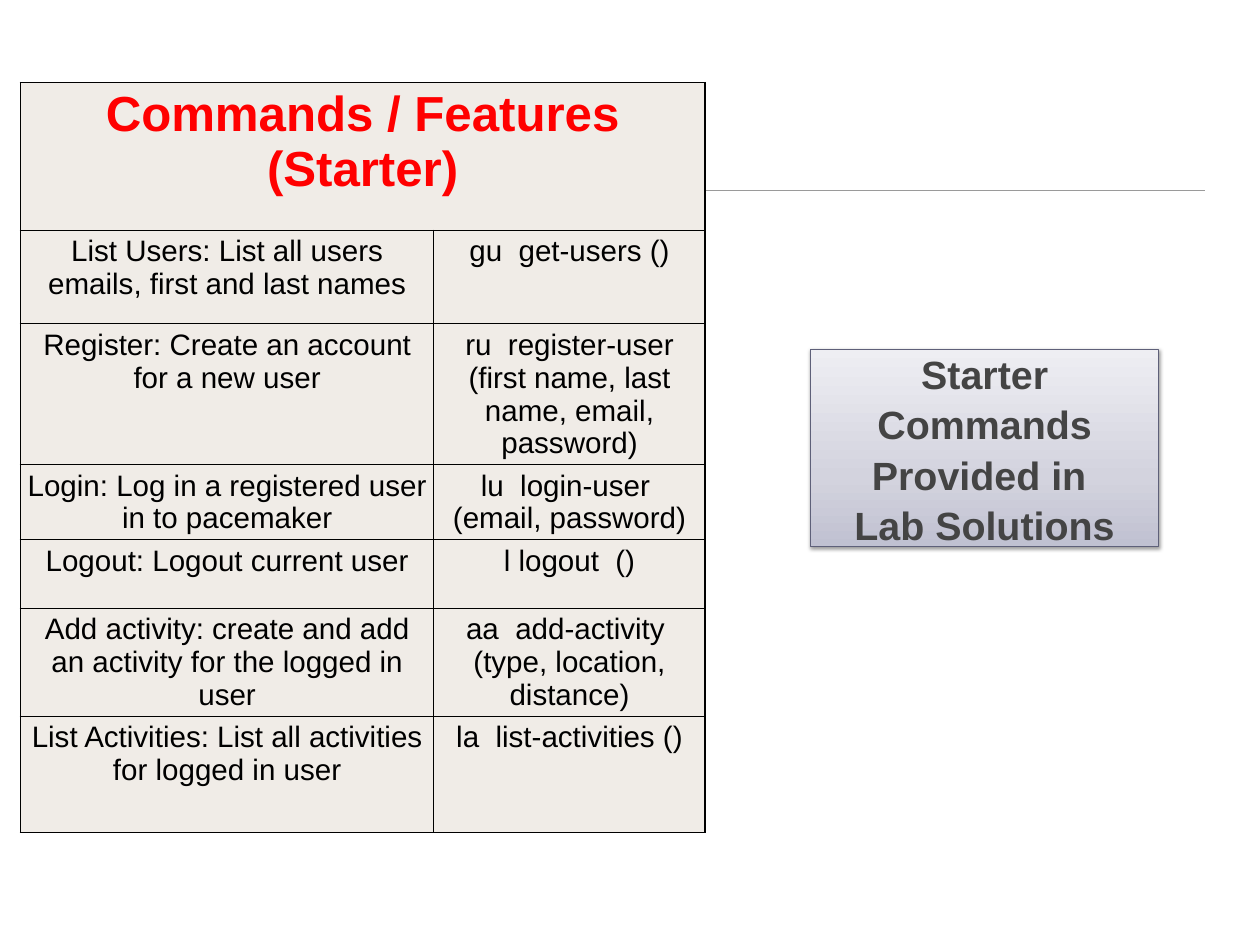
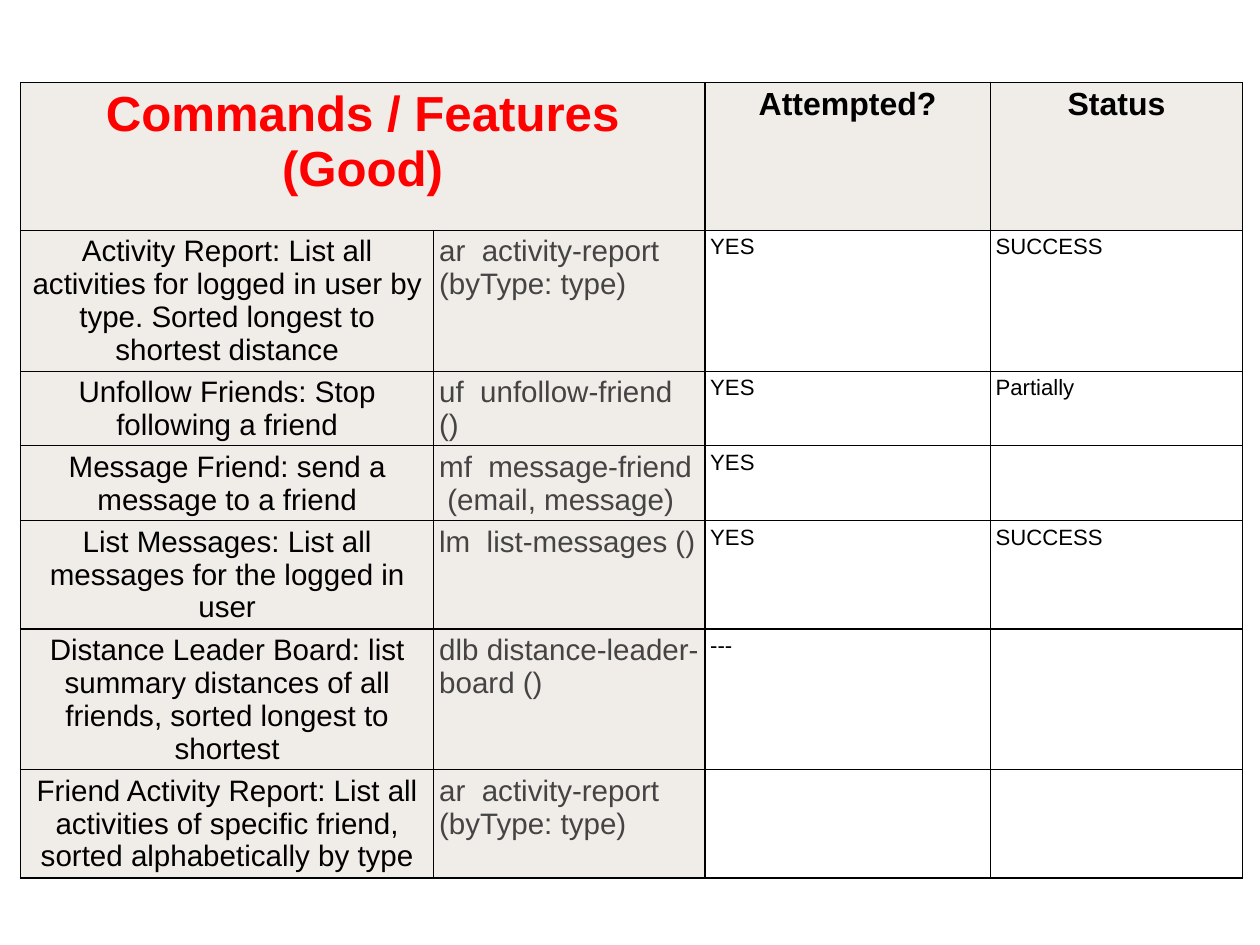
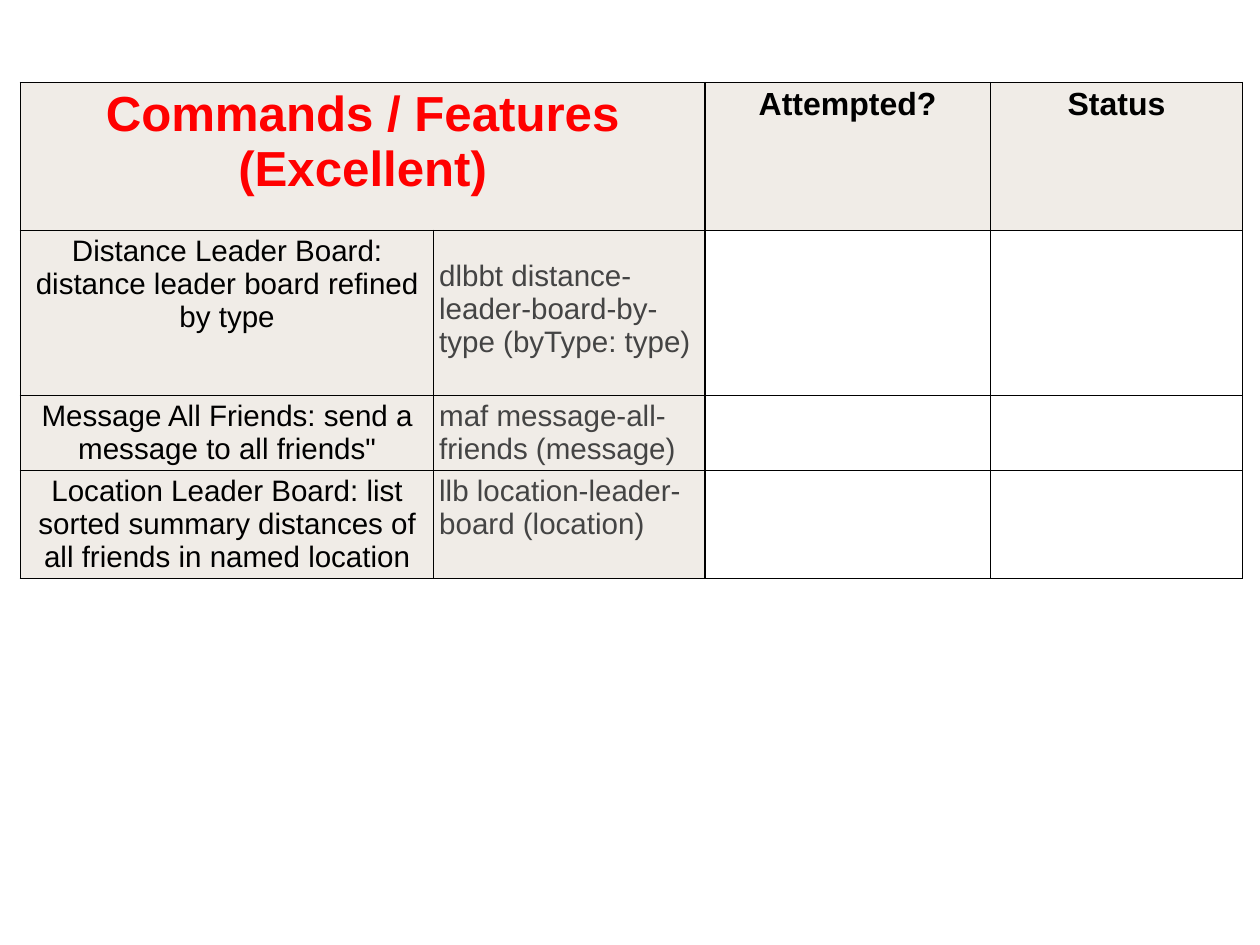
import dataclasses

import pptx
import pptx.dml.color
import pptx.enum.shapes
import pptx.enum.text
import pptx.oxml
import pptx.oxml.ns
import pptx.util

Cm = pptx.util.Cm
Pt = pptx.util.Pt
ALIGN = pptx.enum.text.PP_ALIGN


@dataclasses.dataclass(frozen=True)
class Theme:
    font: str = "Arial"
    red: str = "FF0000"
    black: str = "000000"
    grey: str = "444444"
    rule: str = "9A9A9A"
    sand: str = "F0ECE7"
    edge: str = "5E6079"
    blend: tuple = ((0, "C0C1D1"), (35, "D3D3DE"), (100, "EEEEF3"))
    title: int = 40
    label: int = 32
    head: int = 26
    body: int = 24
    note: int = 18


THEME = Theme()
COLS = (11.86, 7.77, 8.18, 7.24)
TOP_ROW = 4.24
TWO, THREE, FOUR = 2.13, 3.1, 4.04


def tint(code):
    return pptx.dml.color.RGBColor.from_string(code)


def node(tag, inner="", attrs=""):
    space = pptx.oxml.ns.nsdecls("a")
    return pptx.oxml.parse_xml(f"<a:{tag} {space} {attrs}>{inner}</a:{tag}>")


class Deck:
    """Builds slides that share one theme."""

    def __init__(self, theme):
        self.theme = theme
        self.file = pptx.Presentation()
        self.file.slide_width = Cm(36.12)
        self.file.slide_height = Cm(27.1)
        self.slide = None

    def page(self):
        self.slide = self.file.slides.add_slide(self.file.slide_layouts[6])
        self.line(1.57, 34.54, 5.46)

    def line(self, left, right, top):
        kind = pptx.enum.shapes.MSO_CONNECTOR.STRAIGHT
        rule = self.slide.shapes.add_connector(kind, Cm(left), Cm(top), Cm(right), Cm(top))
        rule.line.color.rgb = tint(self.theme.rule)
        rule.line.width = Pt(1)
        rule._element.spPr.append(node("effectLst"))

    def style(self, para, size, color, bold=False, align=ALIGN.CENTER):
        para.alignment = align
        para.font.name = self.theme.font
        para.font.size = Pt(size)
        para.font.bold = bold
        para.font.color.rgb = tint(color)

    def cell(self, cell, text, fill, *look, top=0.13):
        cell.margin_left = cell.margin_right = Cm(0.15)
        cell.margin_top, cell.margin_bottom = Cm(top), Cm(0.13)
        props = cell._tc.get_or_add_tcPr()
        ink = f'<a:solidFill><a:srgbClr val="{self.theme.black}"/></a:solidFill>'
        for spot, side in enumerate(("lnL", "lnR", "lnT", "lnB")):
            props.insert(spot, node(side, ink, f'w="{Pt(0.96)}"'))
        if fill:
            cell.fill.solid()
            cell.fill.fore_color.rgb = tint(fill)
        else:
            cell.fill.background()
        cell.text = text
        self.style(cell.text_frame.paragraphs[0], *look)

    def table(self, title, rows, heads=(), center=False, drop=0.13):
        t = self.theme
        wide = COLS[:2 + len(heads)]
        high = [TOP_ROW] + [row[0] for row in rows]
        frame = self.slide.shapes.add_table(
            len(high), len(wide), Cm(0.58), Cm(2.36), Cm(sum(wide)), Cm(sum(high)))
        grid = frame.table
        grid.first_row = grid.horz_banding = False
        for col, width in zip(grid.columns, wide):
            col.width = Cm(width)
        for row, height in zip(grid.rows, high):
            row.height = Cm(height)
        grid.cell(0, 0).merge(grid.cell(0, 1))
        self.cell(grid.cell(0, 0), title, t.sand, t.title, t.red, True)
        self.cell(grid.cell(0, 1), "", t.sand, t.title, t.red, True)
        for x, head in enumerate(heads, 2):
            self.cell(grid.cell(0, x), head, t.sand, t.head, t.black, True)
        code = (t.black, False, ALIGN.CENTER) if center else (t.grey, False, ALIGN.LEFT)
        for y, (_, task, call, *notes) in enumerate(rows, 1):
            self.cell(grid.cell(y, 0), task, t.sand, t.body, t.black)
            self.cell(grid.cell(y, 1), call, t.sand, t.body, *code,
                      top=drop if y == 1 else 0.13)
            notes += [""] * (len(heads) - len(notes))
            for x, note in enumerate(notes, 2):
                self.cell(grid.cell(y, x), note, None, t.note, t.black, False, ALIGN.LEFT)

    def box(self, lines, left, top, width, height):
        t = self.theme
        kind = pptx.enum.shapes.MSO_SHAPE.RECTANGLE
        box = self.slide.shapes.add_shape(kind, Cm(left), Cm(top), Cm(width), Cm(height))
        stops = "".join(f'<a:gs pos="{at * 1000}"><a:srgbClr val="{code}"/></a:gs>'
                        for at, code in t.blend)
        props = box._element.spPr
        props.append(node("gradFill", f'<a:gsLst>{stops}</a:gsLst>'
                          '<a:lin ang="16200000" scaled="0"/>'))
        box.line.color.rgb = tint(t.edge)
        box.line.width = Pt(0.75)
        shade = (f'<a:outerShdw blurRad="{Pt(3.1)}" dist="{Pt(1.6)}" dir="5400000" '
                 f'rotWithShape="0"><a:srgbClr val="{t.black}">'
                 '<a:alpha val="38000"/></a:srgbClr></a:outerShdw>')
        props.append(node("effectLst", shade))
        frame = box.text_frame
        frame.word_wrap = True
        frame.vertical_anchor = pptx.enum.text.MSO_ANCHOR.MIDDLE
        frame.text = "\n".join(lines)
        for para in frame.paragraphs:
            self.style(para, t.label, t.grey, True)
            para.line_spacing = 1.07


STARTER = (
    (2.69, "List Users: List all users emails, first and last names", "gu  get-users ()"),
    (FOUR, "Register: Create an account for a new user",
     "ru  register-user (first name, last name, email, password)"),
    (TWO, "Login: Log in a registered user in to pacemaker",
     "lu  login-user  (email, password)"),
    (1.96, "Logout: Logout current user", "l logout  ()"),
    (THREE, "Add activity: create and add an activity for the logged in user",
     "aa  add-activity  (type, location, distance)"),
    (3.33, "List Activities: List all activities for logged in user",
     "la  list-activities ()"),
)
GOOD = (
    (FOUR, "Activity Report: List all activities for logged in user by type. "
     "Sorted longest to shortest distance",
     "ar  activity-report (byType: type)", "YES", "SUCCESS"),
    (TWO, "Unfollow Friends: Stop following a friend",
     "uf  unfollow-friend ()", "YES", "Partially"),
    (TWO, "Message Friend: send a message to a friend",
     "mf  message-friend  (email, message)", "YES"),
    (THREE, "List Messages: List all messages for the logged in user",
     "lm  list-messages ()", "YES", "SUCCESS"),
    (FOUR, "Distance Leader Board: list summary distances of all friends, "
     "sorted longest to shortest", "dlb distance-leader-board ()", "---"),
    (THREE, "Friend Activity Report: List all activities of specific friend, "
     "sorted alphabetically by type", "ar  activity-report (byType: type)"),
)
BEST = (
    (4.73, "Distance Leader Board: distance leader board refined by type",
     "dlbbt distance-leader-board-by-type (byType: type)"),
    (TWO, 'Message All Friends: send a message to all friends"',
     "maf message-all-friends (message)"),
    (THREE, "Location Leader Board: list sorted summary distances of all friends "
     "in named location", "llb location-leader-board (location)"),
)
HEADS = ("Attempted?", "Status")


def main():
    deck = Deck(THEME)
    deck.page()
    deck.table("Commands / Features (Starter)", STARTER, center=True)
    deck.box(("Starter Commands Provided in ", "Lab Solutions"), 23.24, 10.01, 9.98, 5.66)
    deck.page()
    deck.table("Commands / Features (Good)", GOOD, HEADS)
    deck.page()
    deck.table("Commands / Features (Excellent)", BEST, HEADS, drop=0.85)
    deck.file.save("out.pptx")


if __name__ == "__main__":
    main()
